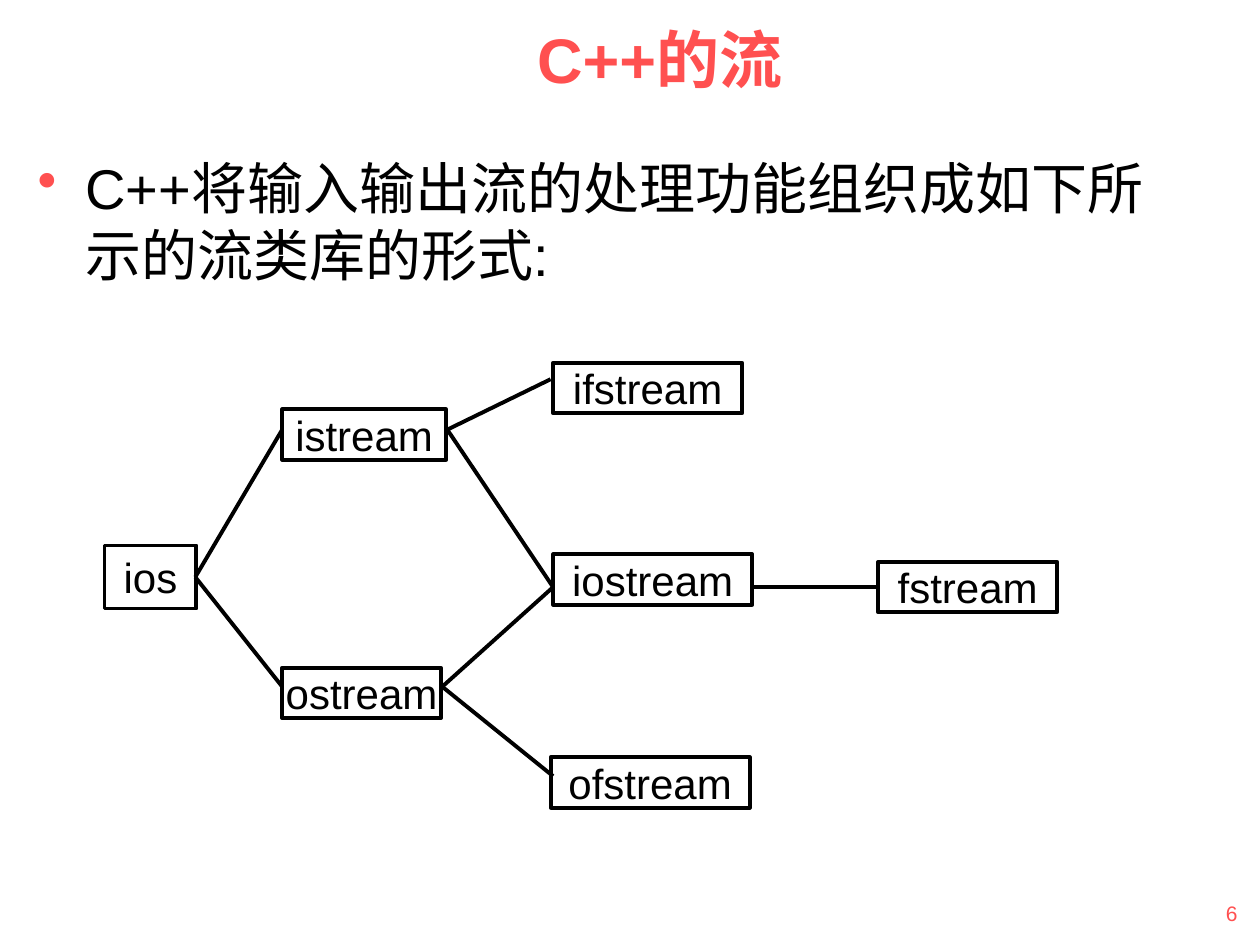
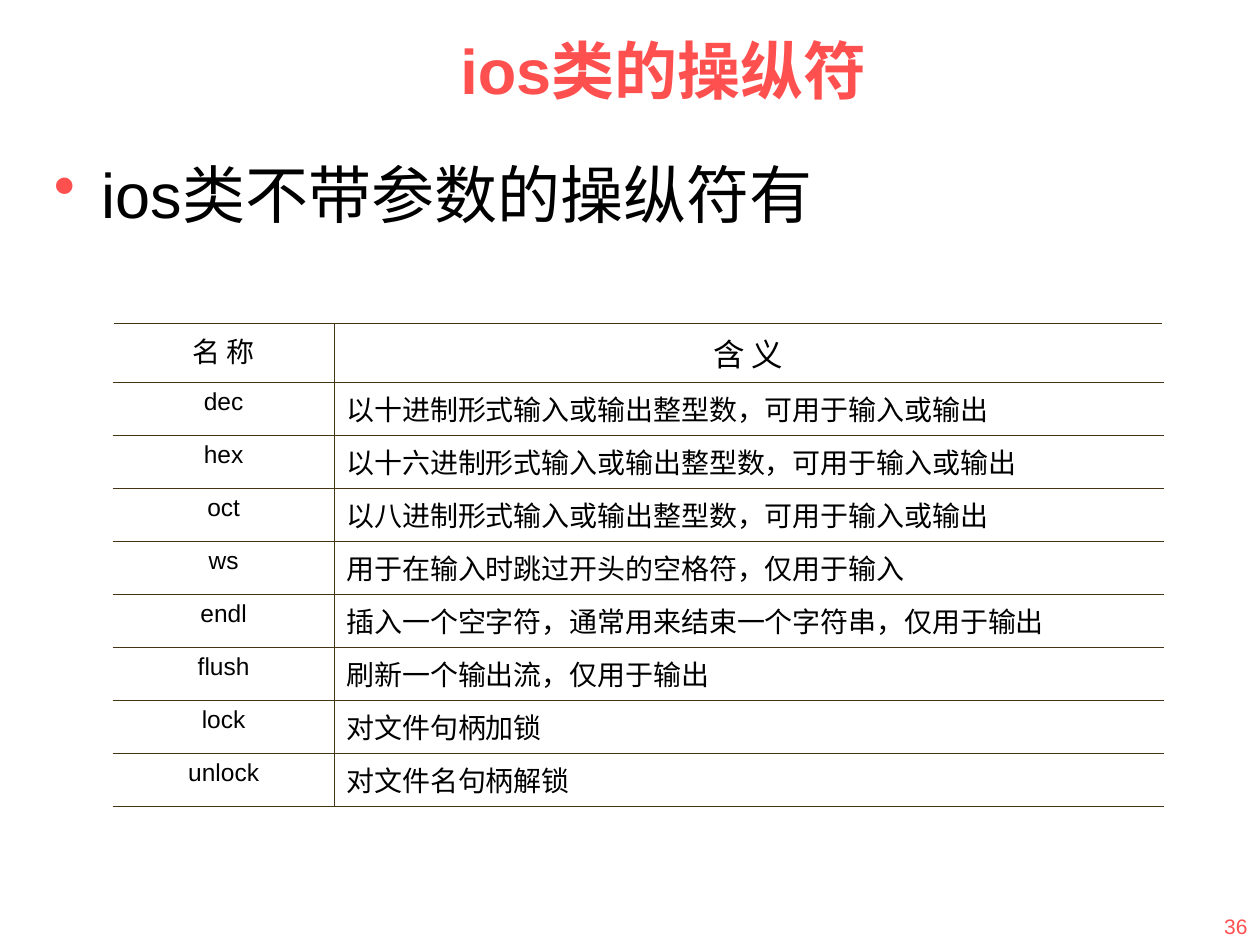
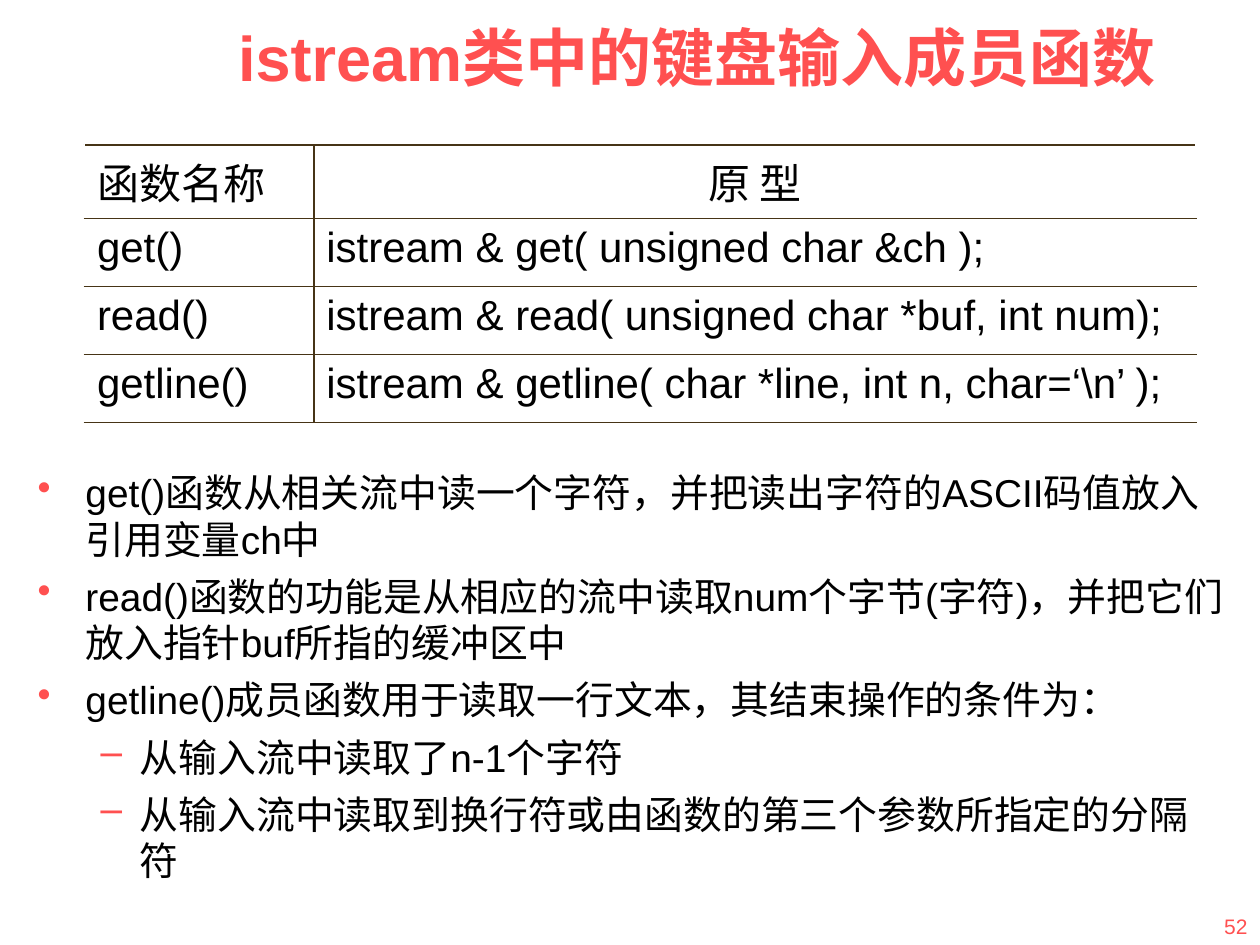
from lxml import etree
from pptx import Presentation
from pptx import util as u
from pptx.dml.color import RGBColor
from pptx.enum import shapes, text
from pptx.oxml.ns import qn

RED, BLACK, BROWN, WHITE = "FF5050", "000000", "463416", "FFFFFF"
LEFT, MID, RIGHT = text.PP_ALIGN.LEFT, text.PP_ALIGN.CENTER, text.PP_ALIGN.RIGHT
TOP, CORE, LOW = text.MSO_ANCHOR.TOP, text.MSO_ANCHOR.MIDDLE, text.MSO_ANCHOR.BOTTOM
BULLETS = [("•", 0.38, 0.38), ("–", 0.81, 0.31)]


def color(code):
    return RGBColor.from_string(code)


def put(item, **form):
    for key, value in form.items():
        setattr(item, key, value)


def spots(nums):
    return [u.Inches(n) for n in nums]


class Deck:
    def __init__(self):
        self.prs = Presentation()
        put(self.prs, slide_width=u.Inches(10), slide_height=u.Inches(7.5))

    def slide(self, title, area, page, corner):
        self.page = self.prs.slides.add_slide(self.prs.slide_layouts[5])
        head = self.page.shapes.title
        put(head, **dict(zip(("left", "top", "width", "height"), spots(area))))
        self.frame(head, anchor=CORE)
        self.words(head.text_frame.paragraphs[0], title, 36, RED, MID, bold=True)
        note = self.box((*corner, 1.14, 0.5), LOW)
        self.words(note.paragraphs[0], page, 12, RED, RIGHT)

    def frame(self, shape, anchor=TOP, wrap=True, pad=(0.1, 0.05)):
        wide, high = spots(pad)
        put(shape.text_frame, word_wrap=wrap, auto_size=text.MSO_AUTO_SIZE.NONE,
            vertical_anchor=anchor, margin_left=wide, margin_right=wide,
            margin_top=high, margin_bottom=high)
        return shape.text_frame

    def box(self, area, anchor=TOP):
        return self.frame(self.page.shapes.add_textbox(*spots(area)), anchor)

    def words(self, para, label, size, code=BLACK, align=LEFT, bold=False, before=0, **form):
        put(para, alignment=align, space_before=u.Pt(before), **form)
        run = para.add_run()
        run.text = label
        put(run.font, name="Arial", size=u.Pt(size), bold=bold)
        run.font.color.rgb = color(code)

    def bullets(self, area, items, size, before, **form):
        body = self.box(area)
        for i, (level, label) in enumerate(items):
            para = body.add_paragraph() if i else body.paragraphs[0]
            self.words(para, label, size, before=before, level=level, **form)
            mark, left, hang = BULLETS[level]
            props = para._p.get_or_add_pPr()
            props.set("marL", str(u.Inches(left)))
            props.set("indent", str(-u.Inches(hang)))
            tint = etree.SubElement(props, qn("a:buClr"))
            etree.SubElement(tint, qn("a:srgbClr"), val=RED)
            etree.SubElement(props, qn("a:buChar"), char=mark)

    def node(self, name, area, pad=(0, 0)):
        rect = self.page.shapes.add_shape(shapes.MSO_SHAPE.RECTANGLE, *spots(area))
        rect.shadow.inherit = False
        rect.fill.background()
        self.stroke(rect.line)
        body = self.frame(rect, wrap=False, pad=pad)
        self.words(body.paragraphs[0], name, 24, align=MID, before=15)

    def stroke(self, line):
        line.color.rgb = color(BLACK)
        line.width = u.Pt(2.25)

    def link(self, start, end):
        line = self.page.shapes.add_connector(
            shapes.MSO_CONNECTOR.STRAIGHT, *spots((*start, *end)))
        self.stroke(line.line)
        etree.SubElement(line._element.spPr, qn("a:effectLst"))

    def table(self, area, cols, highs, rows, look, width):
        grid = self.page.shapes.add_table(len(rows), len(cols), *spots(area)).table
        put(grid, first_row=False, horz_banding=False)
        for col, wide in zip(grid.columns, cols):
            col.width = u.Inches(wide)
        for r, (row, high) in enumerate(zip(rows, highs)):
            grid.rows[r].height = u.Inches(high)
            for c, label in enumerate(row):
                cell = grid.cell(r, c)
                cell.fill.background()
                size, before, align = look(r, c)
                self.words(cell.text_frame.paragraphs[0], label, size,
                           align=align, before=before)
                self.edge(cell, c, len(cols), width)

    def edge(self, cell, c, count, width):
        props = cell._tc.get_or_add_tcPr()
        outer = {"L": c == 0, "R": c == count - 1}
        for i, side in enumerate("LRTB"):
            blank = outer.get(side)
            line = etree.Element(qn("a:ln" + side), w=str(u.Pt(1.08 if blank else width)))
            fill = etree.SubElement(line, qn("a:solidFill"))
            etree.SubElement(fill, qn("a:srgbClr"), val=WHITE if blank else BROWN)
            props.insert(i, line)


def streams(deck):
    deck.slide("C++的流", (1.85, 0, 6.77, 0.92), "6", (8.78, 6.9))
    deck.bullets((0.2, 1.17, 9.37, 5.89),
                 [(0, "C++将输入输出流的处理功能组织成如下所示的流类库的形式:")], 32, 8)
    nodes = {"fstream": (6.97, 4.46, 1.42), "ofstream": (4.37, 6.01, 1.58),
             "ifstream": (4.39, 2.88, 1.5), "ostream": (2.24, 5.3, 1.26),
             "istream": (2.24, 3.25, 1.3), "iostream": (4.39, 4.4, 1.58)}
    for name, area in nodes.items():
        deck.node(name, (*area, 0.4))
    deck.node("ios", (0.83, 4.33, 0.73, 0.5), (0.1, 0.05))
    root, ins, outs, both = (1.55, 4.58), (3.55, 3.41), (3.51, 5.45), (4.39, 4.66)
    links = [(ins, (4.37, 3.01)), (ins, both), (outs, both), (outs, (4.39, 6.16)),
             (root, (2.24, 3.41)), (root, (2.24, 5.45)), ((5.97, 4.66), (6.97, 4.66))]
    for start, end in links:
        deck.link(start, end)


def flags(deck):
    deck.slide("ios类的操纵符", (1.25, 0.1, 8.03, 0.9), "36", (8.86, 7))
    deck.bullets((0.33, 1.25, 9.5, 0.77), [(0, "ios类不带参数的操纵符有")], 36, 9,
                 line_spacing=0.9)
    rows = [("名 称", "含 义"),
            ("dec", "以十进制形式输入或输出整型数，可用于输入或输出"),
            ("hex", "以十六进制形式输入或输出整型数，可用于输入或输出"),
            ("oct", "以八进制形式输入或输出整型数，可用于输入或输出"),
            ("ws", "用于在输入时跳过开头的空格符，仅用于输入"),
            ("endl", "插入一个空字符，通常用来结束一个字符串，仅用于输出"),
            ("flush", "刷新一个输出流，仅用于输出"),
            ("lock", "对文件句柄加锁"),
            ("unlock", "对文件名句柄解锁")]

    def look(r, c):
        size = 14 + 2 * c + 2 * (r == 0)
        return size, size / 4, LEFT if r and c else MID

    deck.table((0.9, 2.57, 8.33, 3.33), (1.75, 6.58), [0.4] + [0.37] * 8, rows, look, 0.45)


def keys(deck):
    deck.slide("istream类中的键盘输入成员函数", (1.06, 0, 8.94, 0.9), "52", (8.86, 7))
    rows = [("函数名称", "原 型"),
            ("get()", "istream & get( unsigned char &ch );"),
            ("read()", "istream & read( unsigned char *buf, int num);"),
            ("getline()", "istream & getline( char *line, int n, char=‘\\n’ );")]
    deck.table((0.67, 1.15, 8.82, 2.12), (1.82, 7), [0.5] + [0.54] * 3, rows,
               lambda r, c: (24, 6, MID if c and not r else LEFT), 1.08)
    deck.bullets((0.2, 3.67, 9.61, 3.23), [
        (0, "get()函数从相关流中读一个字符，并把读出字符的ASCII码值放入引用变量ch中"),
        (0, "read()函数的功能是从相应的流中读取num个字节(字符)，并把它们放入指针buf所指的缓冲区中"),
        (0, "getline()成员函数用于读取一行文本，其结束操作的条件为："),
        (1, "从输入流中读取了n-1个字符"),
        (1, "从输入流中读取到换行符或由函数的第三个参数所指定的分隔符")], 22.2, 6)


def main():
    deck = Deck()
    for build in (streams, flags, keys):
        build(deck)
    deck.prs.save("out.pptx")


if __name__ == "__main__":
    main()
